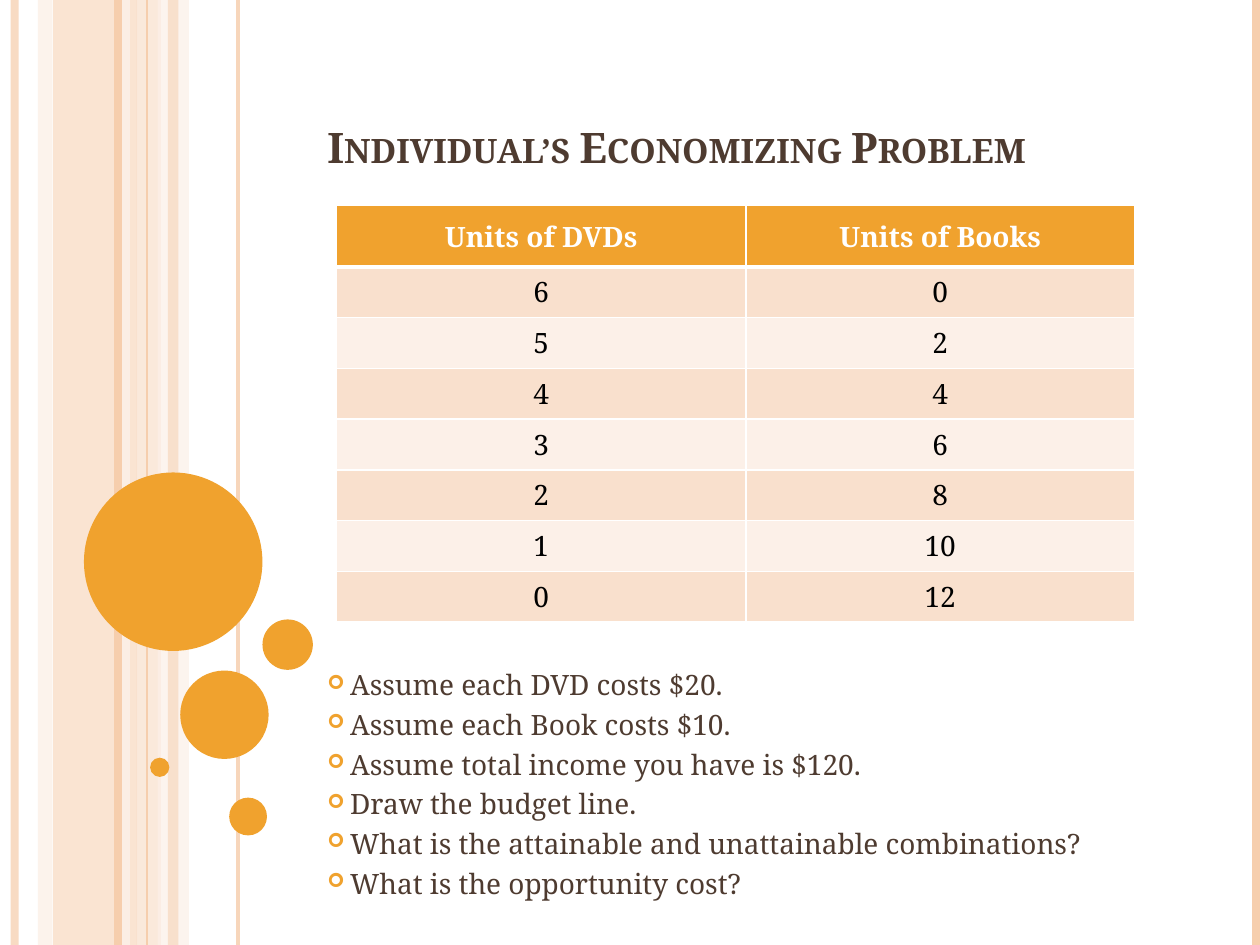
from pptx import Presentation
from pptx.dml.color import RGBColor
from pptx.enum.shapes import MSO_CONNECTOR, MSO_SHAPE
from pptx.enum.text import MSO_ANCHOR, PP_ALIGN
from pptx.oxml.ns import qn
from pptx.util import Pt
from lxml.etree import SubElement

WIDTH, HEIGHT = 720, 540
FONT = "Noto Serif"
WHITE, BLACK, BROWN, ORANGE = "FFFFFF", "000000", "4E3B30", "F0A22E"
PEACH, LIGHT, PALE = "F6CEAD", "F9E0CD", "FCF0E8"

# kind, left (band) or centre (line), width, colour, opacity in percent
STRIPES = [
    ("band", 30.2, 48.2, PEACH, 54),
    ("band", 21.6, 8.2, LIGHT, 36),
    ("band", 77.8, 14.2, LIGHT, 70),
    ("band", 90, 18, PALE, 71),
    ("line", 8.4, 4.5, PEACH, 73),
    ("line", 72, 4.5, PALE, 83),
    ("line", 67.2, 4.5, PEACH, 100),
    ("line", 136, 2.25, PEACH, 82),
    ("line", 84, 0.75, PEACH, 100),
    ("line", 717.8, 4.5, PEACH, 100),
    ("band", 96, 6, PEACH, 51),
]
# left, top, diameter
CIRCLES = [
    (48, 270, 102),
    (103, 383.2, 50.5),
    (85.8, 433, 11),
    (131, 455.8, 21.6),
    (150, 354, 28.8),
]
COMBINATIONS = [("Units of DVDs", "Units of Books")] + [
    (str(dvds), str(12 - 2 * dvds)) for dvds in range(6, -1, -1)
]
TASKS = [
    "Assume each DVD costs $20.",
    "Assume each Book costs $10.",
    "Assume total income you have is $120.",
    "Draw the budget line.",
    "What is the attainable and unattainable combinations?",
    "What is the opportunity cost?",
]


def color(value):
    """Turn a hex string into a colour."""
    return RGBColor.from_string(value)


def set_opacity(properties, percent):
    """Make the solid colour in the given properties partly transparent."""
    if percent < 100:
        solid = next(properties.iter(qn("a:srgbClr")))
        SubElement(solid, qn("a:alpha"), val=str(percent * 1000))


def set_font(paragraph, size, value, bold=False):
    """Set the font of a whole paragraph."""
    font = paragraph.font
    font.name, font.size, font.bold = FONT, Pt(size), bold
    font.color.rgb = color(value)


def add_filled(slide, kind, left, top, width, height, value, opacity=100):
    """Add a preset shape with a plain fill and no outline."""
    shape = slide.shapes.add_shape(kind, Pt(left), Pt(top), Pt(width), Pt(height))
    shape.shadow.inherit = False
    shape.fill.solid()
    shape.fill.fore_color.rgb = color(value)
    shape.line.fill.background()
    set_opacity(shape.fill._xPr, opacity)


def add_vertical_line(slide, center, width, value, opacity):
    """Add a line over the full height of the slide."""
    line = slide.shapes.add_connector(
        MSO_CONNECTOR.STRAIGHT, Pt(center), Pt(0), Pt(center), Pt(HEIGHT))
    line.line.width = Pt(width)
    line.line.color.rgb = color(value)
    properties = line._element.spPr
    set_opacity(properties, opacity)
    SubElement(properties, qn("a:effectLst"))


def add_stripe(slide, kind, position, width, value, opacity):
    """Add one background stripe, as a band or a line."""
    if kind == "band":
        add_filled(slide, MSO_SHAPE.RECTANGLE, position, 0, width, HEIGHT, value, opacity)
    else:
        add_vertical_line(slide, position, width, value, opacity)


def add_text_frame(slide, left, top, width, height):
    """Add a wrapping text box and return its text frame."""
    frame = slide.shapes.add_textbox(Pt(left), Pt(top), Pt(width), Pt(height)).text_frame
    frame.word_wrap = True
    return frame


def add_title(slide, text):
    """Add the title in small capitals."""
    frame = add_text_frame(slide, 180, 18, 516, 84)
    frame.vertical_anchor = MSO_ANCHOR.BOTTOM
    paragraph = frame.paragraphs[0]
    paragraph.text = text
    set_font(paragraph, 24, BROWN, bold=True)
    paragraph.font._element.set("cap", "small")


def add_bullet(paragraph):
    """Give a paragraph an orange arrow bullet with a hanging indent."""
    properties = paragraph._p.get_or_add_pPr()
    properties.set("marL", str(Pt(13)))
    properties.set("indent", str(-Pt(13)))
    SubElement(SubElement(properties, qn("a:buClr")), qn("a:srgbClr"), val=ORANGE)
    SubElement(properties, qn("a:buSzPct"), val="70000")
    SubElement(properties, qn("a:buFont"), typeface="Wingdings")
    SubElement(properties, qn("a:buChar"), char="\u27a2")


def add_tasks(slide, tasks):
    """Add the bulleted list of assumptions and questions."""
    frame = add_text_frame(slide, 180, 378, 486, 156)
    for index, task in enumerate(tasks):
        paragraph = frame.add_paragraph() if index else frame.paragraphs[0]
        paragraph.text = task
        paragraph.alignment = PP_ALIGN.JUSTIFY
        paragraph.space_after = Pt(3.5)
        add_bullet(paragraph)
        set_font(paragraph, 16, BROWN)


def set_borders(cell, top, bottom):
    """Draw white cell borders with the given top and bottom widths."""
    properties = cell._tc.get_or_add_tcPr()
    widths = {"a:lnL": 1, "a:lnR": 1, "a:lnT": top, "a:lnB": bottom}
    for name, width in widths.items():
        border = SubElement(properties, qn(name), w=str(Pt(width)))
        SubElement(SubElement(border, qn("a:solidFill")), qn("a:srgbClr"), val=WHITE)


def fill_cell(cell, text, row):
    """Write and style one table cell according to its row."""
    header = row == 0
    set_borders(cell, 3 if row == 1 else 1, 3 if header else 1)
    cell.fill.solid()
    cell.fill.fore_color.rgb = color(ORANGE if header else LIGHT if row % 2 else PALE)
    if header:
        cell.vertical_anchor = MSO_ANCHOR.MIDDLE
    cell.text = text
    paragraph = cell.text_frame.paragraphs[0]
    paragraph.alignment = PP_ALIGN.CENTER
    set_font(paragraph, 16, WHITE if header else BLACK, bold=header)


def add_combinations(slide, rows):
    """Add the table of affordable combinations."""
    table = slide.shapes.add_table(
        len(rows), 2, Pt(192.3), Pt(117.5), Pt(456), Pt(238)).table
    for column, width in zip(table.columns, (234, 222)):
        column.width = Pt(width)
    for row, values in enumerate(rows):
        table.rows[row].height = Pt(29 if row else 35)
        for column, value in enumerate(values):
            fill_cell(table.cell(row, column), value, row)


def main():
    """Build the slide and save it."""
    presentation = Presentation()
    presentation.slide_width, presentation.slide_height = Pt(WIDTH), Pt(HEIGHT)
    slide = presentation.slides.add_slide(presentation.slide_layouts[6])
    for stripe in STRIPES:
        add_stripe(slide, *stripe)
    for left, top, diameter in CIRCLES:
        add_filled(slide, MSO_SHAPE.OVAL, left, top, diameter, diameter, ORANGE)
    add_title(slide, "Individual\u2019s Economizing Problem")
    add_tasks(slide, TASKS)
    add_combinations(slide, COMBINATIONS)
    presentation.save("out.pptx")


main()
